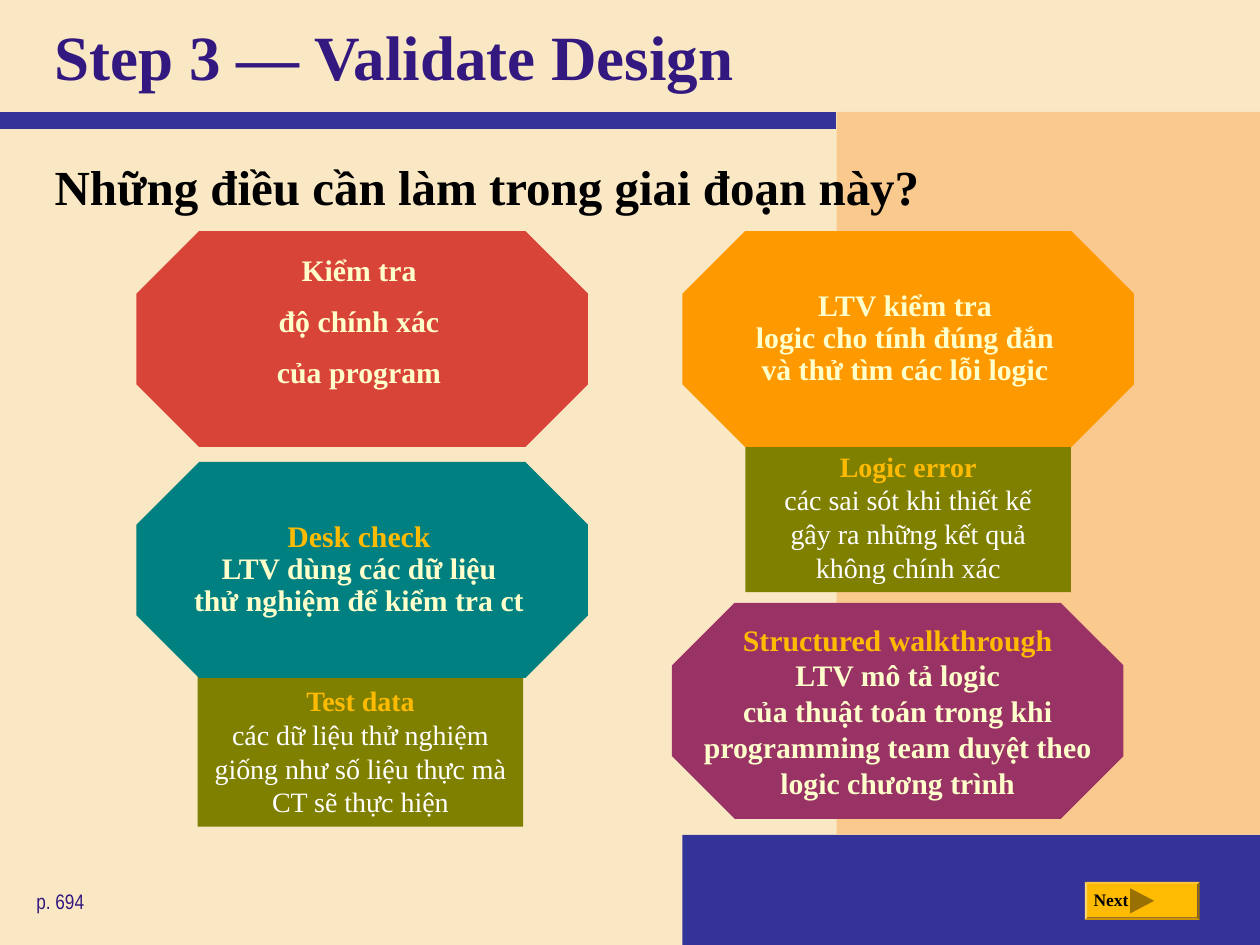
"""Build the 'Step 3 — Validate Design' slide."""
from copy import deepcopy

from lxml import etree
from pptx import Presentation
from pptx.dml.color import RGBColor
from pptx.enum.shapes import MSO_CONNECTOR, MSO_SHAPE
from pptx.enum.text import MSO_ANCHOR, MSO_AUTO_SIZE, PP_ALIGN
from pptx.oxml.ns import qn
from pptx.util import Pt

RECT, OCTAGON, BEVEL = MSO_SHAPE.RECTANGLE, MSO_SHAPE.OCTAGON, MSO_SHAPE.BEVEL
MIDDLE, TOP = MSO_ANCHOR.MIDDLE, MSO_ANCHOR.TOP
LEFT, CENTER = PP_ALIGN.LEFT, PP_ALIGN.CENTER
SERIF, NARROW = "Times New Roman", "Arial Narrow"
COLORS = {
    "cream": "FAE8C4", "peach": "FAC98E", "blue": "333399", "purple": "33197F",
    "black": "000000", "white": "FFFFFF", "pale": "FFFFCC", "gold": "FFBA02",
    "brown": "997002", "olive": "808000", "red": "D94439", "orange": "FF9900",
    "teal": "008080", "plum": "993366",
}
RGB = {name: RGBColor.from_string(value) for name, value in COLORS.items()}


def style_shape(sp, color):
    sp.shadow.inherit = False
    sp.fill.solid()
    sp.fill.fore_color.rgb = RGB[color]
    sp.line.fill.background()


def add_lines(p, lines, size, color, bold=False, font=SERIF):
    for line in lines:
        if p.runs:
            previous = p.runs[-1]
            p.add_line_break()
            p._p[-1].append(deepcopy(previous._r.rPr))
        r = p.add_run()
        r.text = line
        r.font.name = font
        r.font.size = Pt(size)
        r.font.bold = bold
        r.font.color.rgb = RGB[color]


prs = Presentation()
prs.slide_width, prs.slide_height = Pt(720), Pt(540)
s = prs.slides.add_slide(prs.slide_layouts[1])
s.background.fill.solid()
s.background.fill.fore_color.rgb = RGB["cream"]

for color, x, y, w, h in [("blue", 390, 477, 330, 63), ("peach", 478, 64, 242, 413)]:
    sp = s.shapes.add_shape(RECT, Pt(x), Pt(y), Pt(w), Pt(h))
    style_shape(sp, color)

rule = s.shapes.add_connector(MSO_CONNECTOR.STRAIGHT, Pt(0), Pt(69), Pt(478), Pt(69))
rule.line.color.rgb = RGB["blue"]
rule.line.width = Pt(10)
etree.SubElement(rule._element.spPr, qn("a:effectLst"))

headings = [
    (s.shapes.title, 0, 63, MIDDLE, "Step 3 — Validate Design", 36, "purple"),
    (s.placeholders[1], 86, 52, TOP, "Những điều cần làm trong giai đoạn này?", 28, "black"),
]
for sp, y, h, anchor, text, size, color in headings:
    s.shapes._spTree.append(sp._element)
    sp.left, sp.top, sp.width, sp.height = Pt(24), Pt(y), Pt(676), Pt(h)
    tf = sp.text_frame
    tf.auto_size = MSO_AUTO_SIZE.NONE
    tf.vertical_anchor = anchor
    p = tf.paragraphs[0]
    pPr = p._p.get_or_add_pPr()
    pPr.set("marL", "0")
    pPr.set("indent", "0")
    etree.SubElement(pPr, qn("a:buNone"))
    p.alignment = LEFT
    p.space_before = Pt(0)
    add_lines(p, [text], size, color, True)

page = s.shapes.add_textbox(Pt(13.7), Pt(504), Pt(122), Pt(22))
page.text_frame.word_wrap = True
add_lines(page.text_frame.paragraphs[0], ["p. 694"], 12, "purple", font=NARROW)

button = s.shapes.add_group_shape()
sp = button.shapes.add_shape(BEVEL, Pt(620), Pt(504), Pt(65.5), Pt(21.6))
sp.adjustments[0] = 0.06
style_shape(sp, "gold")
builder = button.shapes.build_freeform(Pt(645.8), Pt(507.6))
builder.add_line_segments([(Pt(659.5), Pt(514.8)), (Pt(645.8), Pt(522))])
style_shape(builder.convert_to_shape(), "brown")
sp = button.shapes.add_textbox(Pt(617.8), Pt(504.7), Pt(36.7), Pt(19.4))
sp.text_frame.word_wrap = False
add_lines(sp.text_frame.paragraphs[0], ["Next"], 10, "black", True)

notes = [
    (426, 252, "Logic error",
     ["các sai sót khi thiết kế", "gây ra những kết quả", "không chính xác"]),
    (113, 386, "Test data",
     ["các dữ liệu thử nghiệm", "giống như số liệu thực mà CT sẽ thực hiện"]),
]
for x, y, heading, lines in notes:
    sp = s.shapes.add_shape(RECT, Pt(x), Pt(y), Pt(186), Pt(86.4))
    style_shape(sp, "olive")
    tf = sp.text_frame
    tf.word_wrap = True
    tf.vertical_anchor = MIDDLE
    p = tf.paragraphs[0]
    p.alignment = CENTER
    add_lines(p, [heading], 16, "gold", True)
    add_lines(p, lines, 16, "white")

steps = [
    (78, 132, "red", 0.9, 3.6, 18.4, [],
     [["Kiểm tra"], ["độ chính xác"], ["của program"]]),
    (390, 132, "orange", 0.9, 3.6, 0, [],
     [["LTV kiểm tra", "logic cho tính đúng đắn", "và thử tìm các lỗi logic"]]),
    (78, 264, "teal", 0.9, 3.6, 0, ["Desk check"],
     [["LTV dùng các dữ liệu", "thử nghiệm để kiểm tra ct"]]),
    (384, 344.5, "plum", 1.0, 0, 0, ["Structured walkthrough"],
     [["LTV mô tả logic",
       "của thuật toán trong khi programming team duyệt theo logic chương trình"]]),
]
for x, y, color, spacing, right, bottom, heading, paragraphs in steps:
    sp = s.shapes.add_shape(OCTAGON, Pt(x), Pt(y), Pt(258), Pt(123.4))
    sp.adjustments[0] = 0.29
    style_shape(sp, color)
    tf = sp.text_frame
    tf.word_wrap = True
    tf.vertical_anchor = MIDDLE
    tf.margin_left = tf.margin_top = Pt(0)
    tf.margin_right, tf.margin_bottom = Pt(right), Pt(bottom)
    for i, lines in enumerate(paragraphs):
        p = tf.add_paragraph() if i else tf.paragraphs[0]
        p.alignment = CENTER
        p.line_spacing = spacing
        p.space_before = Pt(10.6 if i else 0)
        add_lines(p, heading, 17, "gold", True)
        add_lines(p, lines, 17, "pale", True)

prs.save("out.pptx")
